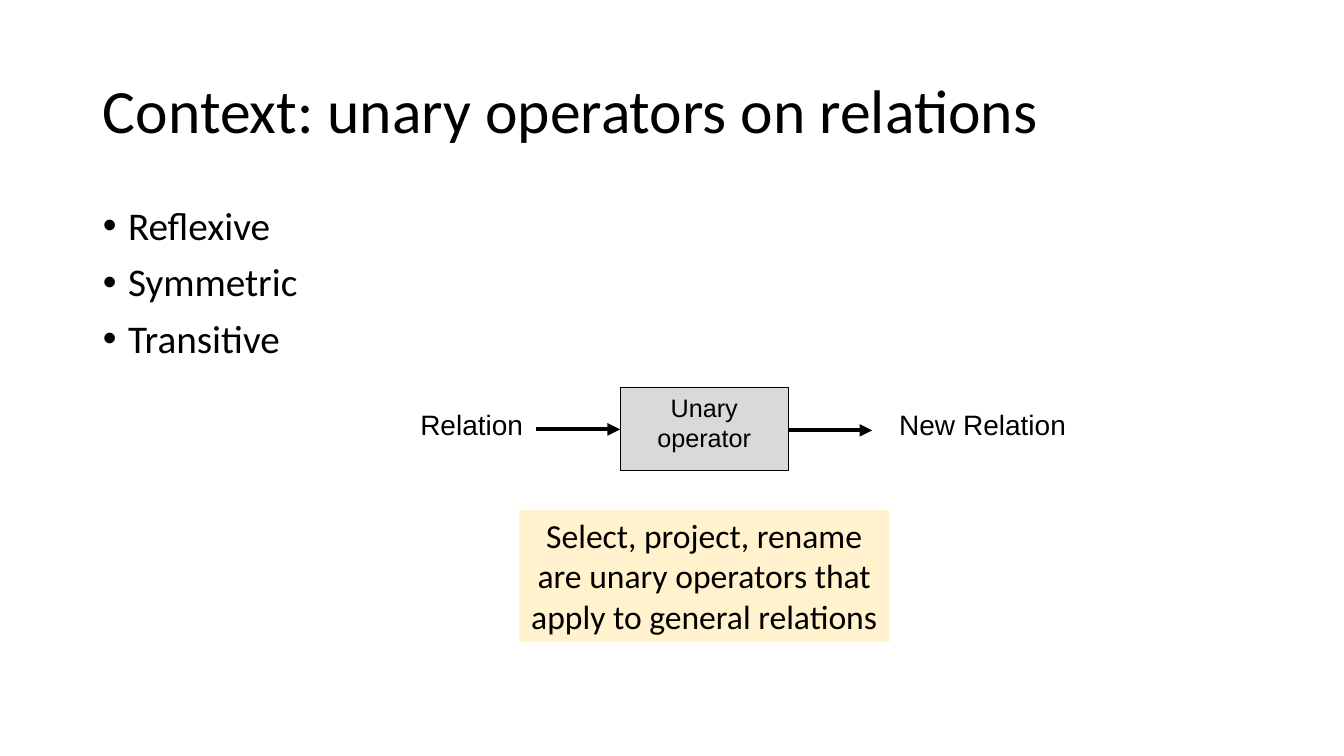
from lxml import etree
from pptx import Presentation, util as u
from pptx.dml.color import RGBColor
from pptx.enum import shapes, text
from pptx.oxml.ns import qn

HUES = {"ink": "000000", "gray": "D9D9D9", "cream": "FFF2CC"}


def hue(name):
    return RGBColor.from_string(HUES[name])


def write(shape, lines, size, face, align, wrap=True, anchor=text.MSO_ANCHOR.TOP):
    """Fill a shape with one paragraph per line and return the paragraphs."""
    frame = shape.text_frame
    frame.word_wrap = wrap
    frame.auto_size = text.MSO_AUTO_SIZE.NONE
    frame.vertical_anchor = anchor
    for i, line in enumerate(lines):
        para = frame.paragraphs[0] if i == 0 else frame.add_paragraph()
        para.alignment = align
        para.space_before = u.Pt(0)
        run = para.add_run()
        run.text = line
        run.font.size = u.Pt(size)
        run.font.name = face
        run.font.color.rgb = hue("ink")
    return frame.paragraphs


deck = Presentation()
deck.slide_width, deck.slide_height = u.Inches(13.33), u.Inches(7.5)
slide = deck.slides.add_slide(deck.slide_layouts[1])
left, center = text.PP_ALIGN.LEFT, text.PP_ALIGN.CENTER

# Title and list
title, body = slide.shapes.title, slide.placeholders[1]
for holder, top, high in [(title, 0.4, 1.45), (body, 2, 4.76)]:
    holder.left, holder.top = u.Inches(0.92), u.Inches(top)
    holder.width, holder.height = u.Inches(11.5), u.Inches(high)

head = write(title, ["Context: unary operators on relations"], 44, "Calibri", left,
             anchor=text.MSO_ANCHOR.MIDDLE)
head[0].line_spacing = 0.9

items = write(body, ["Reflexive", "Symmetric", "Transitive"], 28, "Calibri", left)
for i, item in enumerate(items):
    item.line_spacing = 0.9
    item.space_before = u.Pt(10 if i else 0)
    props = item._p.get_or_add_pPr()
    props.set("marL", str(u.Inches(0.25)))
    props.set("indent", str(u.Inches(-0.25)))
    etree.SubElement(props, qn("a:buFont")).set("typeface", "Arial")
    etree.SubElement(props, qn("a:buChar")).set("char", "•")

# Operator box and note
note = ["Select, project, rename", "are unary operators that", "apply to general relations"]
for x, y, wide, high, fill, lines, size, face, wrap in [
    (6.15, 3.84, 1.67, 0.83, "gray", ["Unary operator"], 18, "Arial", True),
    (5.15, 5.06, 3.67, 1.31, "cream", note, 24, "Calibri", False),
]:
    box = slide.shapes.add_shape(shapes.MSO_SHAPE.RECTANGLE, u.Inches(x), u.Inches(y),
                                 u.Inches(wide), u.Inches(high))
    box.shadow.inherit = False
    box.fill.solid()
    box.fill.fore_color.rgb = hue(fill)
    if fill == "gray":
        box.line.color.rgb = hue("ink")
        box.line.width = u.Pt(0.75)
    else:
        box.line.fill.background()
    write(box, lines, size, face, center, wrap)

# Arrows into and out of the operator
for x, y in [(5.32, 4.26), (7.82, 4.27)]:
    arrow = slide.shapes.add_connector(shapes.MSO_CONNECTOR.STRAIGHT, u.Inches(x), u.Inches(y),
                                       u.Inches(x + 0.83), u.Inches(y))
    arrow.line.color.rgb = hue("ink")
    arrow.line.width = u.Pt(3)
    etree.SubElement(arrow.line._get_or_add_ln(), qn("a:tailEnd")).set("type", "triangle")
    etree.SubElement(arrow._element.spPr, qn("a:effectLst"))

# Input and output labels
for x, wide, name in [(4.07, 1.23, "Relation"), (8.82, 1.87, "New Relation")]:
    label = slide.shapes.add_textbox(u.Inches(x), u.Inches(3.99), u.Inches(wide), u.Inches(0.77))
    write(label, [name], 20, "Arial", left, wrap=False)

deck.save("out.pptx")
